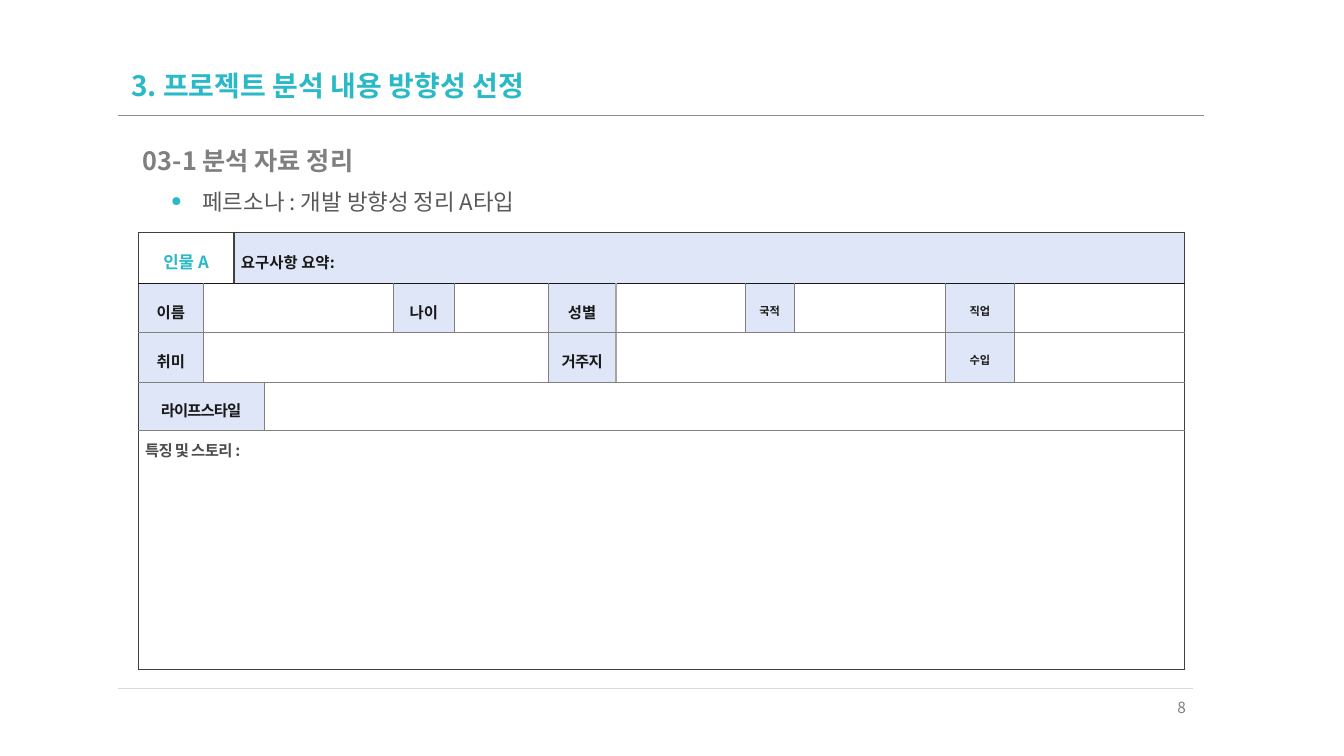
from lxml import etree
from pptx import Presentation
from pptx.dml.color import RGBColor
from pptx.enum import shapes, text
from pptx.oxml import ns
from pptx.util import Inches, Pt

FONT = "Noto Sans CJK KR"
HUES = {
    "teal": "2AB9C7", "gray": "808080", "mid": "7F7F7F", "soft": "595959",
    "pale": "D9D9D9", "fill": "DFE6F7", "ink": "191919", "edge": "404040",
    "light": "A6A6A6", "story": "4C4C4C", "rule": "8C8C8C",
}
COLS = [0.65, 0.3, 0.3, 1.28, 0.61, 0.93, 0.67, 1.28, 0.49, 1.5, 0.68, 1.69]
ROWS = [0.5, 0.49, 0.49, 0.48, 2.37]
THIN = ("gray", 0.5)
DARK = ("edge", 1)
HEAD = ("ink", 0.85)
SEAM = ("light", 1)
FORM = [
    [("인물 A", 2, 12, 0), ("요구사항 요약:", 10, 11, 0)],
    [("이름", 1, 11, 0), ("", 3, 11, 0), ("나이", 1, 11, 0), ("", 1, 11, 0),
     ("성별", 1, 11, 0), ("", 1, 11, 0), ("국적", 1, 8, 0), ("", 1, 11, 0),
     ("직업", 1, 8, 0), ("", 1, 11, 0)],
    [("취미", 1, 11, 0), ("", 5, 11, 0), ("거주지", 1, 11, -0.5),
     ("", 3, 11, 0), ("수입", 1, 8, 0), ("", 1, 11, 0)],
    [("라이프스타일", 3, 11, -0.7), ("", 9, 11, 0)],
    [("특징 및 스토리 :", 12, 11, -0.5)],
]


def color(name):
    return RGBColor.from_string(HUES[name])


def style(para, size, hue, bold=False, gap=0):
    for run in para.runs:
        run.font.size = Pt(size)
        run.font.bold = bold
        run.font.name = FONT
        run.font.color.rgb = color(hue)
        props = run._r.get_or_add_rPr()
        etree.SubElement(props, ns.qn("a:ea"), typeface=FONT)
        if gap:
            props.set("spc", str(round(gap * 100)))


def write(shape, box, words, size, hue, bold=False):
    shape.left, shape.top, shape.width, shape.height = map(Inches, box)
    frame = shape.text_frame
    frame.word_wrap = True
    frame.auto_size = text.MSO_AUTO_SIZE.NONE
    frame.text = words
    para = frame.paragraphs[0]
    para.line_spacing = 0.9
    para.alignment = text.PP_ALIGN.LEFT
    style(para, size, hue, bold)
    for run in para.runs:
        run._r.get_or_add_rPr().set("kern", "0")
    return para


def label(slide, box, words, size, hue, bold=False):
    shape = slide.shapes.add_textbox(*map(Inches, box))
    return write(shape, box, words, size, hue, bold)


def rule(slide, left, top, width, hue):
    line = slide.shapes.add_connector(
        shapes.MSO_CONNECTOR.STRAIGHT, Inches(left), Inches(top),
        Inches(left + width), Inches(top))
    line.line.color.rgb = color(hue)
    line.line.width = Pt(0.5)
    etree.SubElement(line._element.spPr, ns.qn("a:effectLst"))


def header(slide, left, top, width):
    rule(slide, left, top + 0.52, 10.77, "rule")
    title = slide.shapes.title
    write(title, (left + 0.03, top, width, 0.49),
          "3. 프로젝트 분석 내용 방향성 선정", 20, "teal", True)
    title.text_frame.vertical_anchor = text.MSO_ANCHOR.MIDDLE


def intro(slide, left, top, width):
    label(slide, (left, top + 0.04, width, 0.34),
          "03-1 분석 자료 정리", 18, "mid", True)
    para = label(slide, (left + 0.28, top + 0.46, width - 0.28, 0.34),
                 "페르소나 : 개발 방향성 정리 A타입", 16, "soft")
    props = para._p.get_or_add_pPr()
    props.set("marL", str(Inches(0.31)))
    props.set("indent", str(-Inches(0.31)))
    hue = etree.SubElement(props, ns.qn("a:buClr"))
    etree.SubElement(hue, ns.qn("a:srgbClr"), val=HUES["teal"])
    etree.SubElement(props, ns.qn("a:buSzPct"), val="60000")
    etree.SubElement(props, ns.qn("a:buChar"), char="●")


def border(cell, edges):
    props = cell._tc.get_or_add_tcPr()
    for side, (hue, width) in zip("LRTB", edges):
        line = etree.SubElement(props, ns.qn("a:ln" + side), w=str(Pt(width)))
        fill = etree.SubElement(line, ns.qn("a:solidFill"))
        etree.SubElement(fill, ns.qn("a:srgbClr"), val=HUES[hue])


def edges(row, col, span):
    end = col + span
    seam = row in (1, 2)
    left = DARK if col == 0 or row == 0 else SEAM if seam and col == 7 else THIN
    right = (DARK if end == len(COLS) or row == 0
             else SEAM if seam and end == 7 else THIN)
    top = DARK if row == 0 else HEAD if row == 1 else THIN
    base = HEAD if row == 0 else DARK if row == len(ROWS) - 1 else THIN
    return left, right, top, base


def fill_cell(cell, words, size, gap, row, col):
    story = row == len(ROWS) - 1
    name = row == 0 and col == 0
    cell.margin_left = cell.margin_right = Inches(0.07)
    cell.margin_top = cell.margin_bottom = Inches(0.02)
    cell.vertical_anchor = (text.MSO_ANCHOR.TOP if story
                            else text.MSO_ANCHOR.MIDDLE)
    if words and not (story or name):
        cell.fill.solid()
        cell.fill.fore_color.rgb = color("fill")
    else:
        cell.fill.background()
    if words:
        cell.text_frame.text = words
        para = cell.text_frame.paragraphs[0]
        para.line_spacing = 1.3
        para.alignment = (text.PP_ALIGN.JUSTIFY if words.endswith(":")
                          else text.PP_ALIGN.CENTER)
        hue = "teal" if name else "story" if story else "ink"
        style(para, size, hue, True, gap)


def persona(slide, left, top):
    grid = slide.shapes.add_table(
        len(ROWS), len(COLS), Inches(left), Inches(top),
        Inches(sum(COLS)), Inches(sum(ROWS))).table
    grid.first_row = grid.horz_banding = False
    for col, width in zip(grid.columns, COLS):
        col.width = Inches(width)
    for row, height in zip(grid.rows, ROWS):
        row.height = Inches(height)
    for row, items in enumerate(FORM):
        col = 0
        for words, span, size, gap in items:
            cell = grid.cell(row, col)
            if span > 1:
                cell.merge(grid.cell(row, col + span - 1))
            border(cell, edges(row, col, span))
            fill_cell(cell, words, size, gap, row, col)
            col += span


def footer(slide, left, top, width):
    rule(slide, left, top, width, "pale")
    para = label(slide, (left + width - 0.56, top + 0.05, 0.59, 0.4),
                 "8", 11, "gray")
    para.alignment = text.PP_ALIGN.RIGHT
    para.line_spacing = 1.0


def main():
    deck = Presentation()
    deck.slide_width, deck.slide_height = Inches(13.33), Inches(7.5)
    slide = deck.slides.add_slide(deck.slide_layouts[5])
    header(slide, 1.17, 0.62, 10.78)
    intro(slide, 1.32, 1.39, 10.66)
    persona(slide, 1.37, 2.31)
    footer(slide, 1.17, 6.83, 10.66)
    deck.save("out.pptx")


if __name__ == "__main__":
    main()
